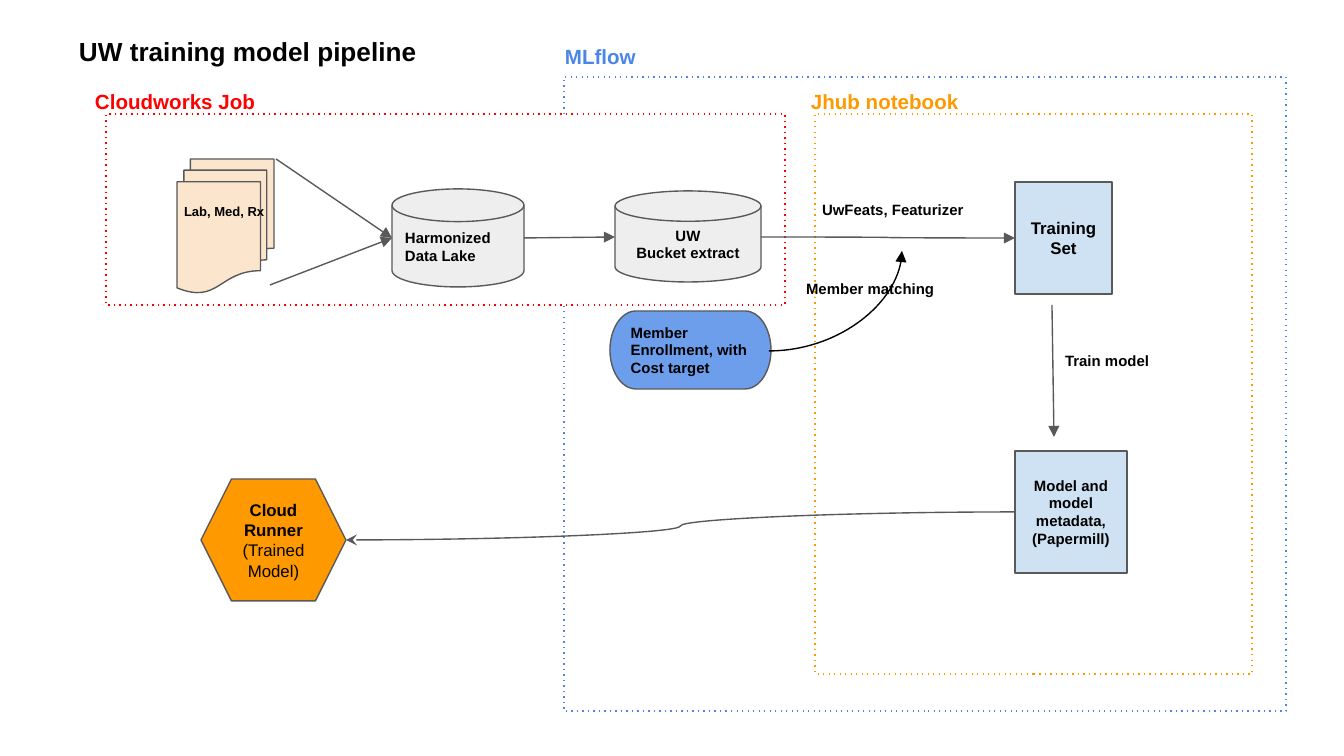
"""Build the training model pipeline slide."""
from dataclasses import dataclass

from lxml import etree
from pptx import Presentation
from pptx.dml.color import RGBColor
from pptx.enum.dml import MSO_LINE
from pptx.enum.shapes import MSO_CONNECTOR, MSO_SHAPE
from pptx.enum.text import MSO_ANCHOR, PP_ALIGN
from pptx.oxml.ns import qn
from pptx.util import Pt

RECT = MSO_SHAPE.RECTANGLE
DISK = MSO_SHAPE.FLOWCHART_MAGNETIC_DISK
DOCUMENTS = MSO_SHAPE.FLOWCHART_MULTIDOCUMENT
TERMINATOR = MSO_SHAPE.FLOWCHART_TERMINATOR
HEXAGON = MSO_SHAPE.HEXAGON
STRAIGHT, CURVE = MSO_CONNECTOR.STRAIGHT, MSO_CONNECTOR.CURVE
ROUND_DOT = MSO_LINE.ROUND_DOT
LEFT, CENTER = PP_ALIGN.LEFT, PP_ALIGN.CENTER
TOP, MIDDLE = MSO_ANCHOR.TOP, MSO_ANCHOR.MIDDLE
EMU_PER_PX = 914400 / 134.4


@dataclass(frozen=True)
class Theme:
    """Colours, type sizes and line width of the slide."""
    font: str = "Arial"
    text: str = "000000"
    white: str = "FFFFFF"
    line: str = "595959"
    tracking: str = "4A86E8"
    job: str = "FF0000"
    notebook: str = "FF9900"
    paper: str = "FCE5CD"
    storage: str = "EEEEEE"
    member: str = "6D9EEB"
    model: str = "CFE2F3"
    title_size: int = 14
    frame_size: int = 11
    large_size: int = 9
    body_size: int = 8
    small_size: int = 7
    line_width: float = 0.75


THEME = Theme()


def px(*values):
    """Turn pixel lengths into EMU."""
    return [round(v * EMU_PER_PX) for v in values]


def rgb(color):
    """Return the RGB colour of a hex string."""
    return RGBColor.from_string(color)


def style_line(line, color):
    """Give a line its colour and the common width."""
    line.color.rgb = rgb(color)
    line.width = Pt(THEME.line_width)


def write(sp, text, size, color=THEME.text, align=LEFT, anchor=TOP, bold_lines=9):
    """Put text in a shape, with its first bold_lines paragraphs in bold."""
    tf = sp.text_frame
    tf.text = text
    tf.word_wrap = True
    tf.vertical_anchor = anchor
    inset, = px(13)
    tf.margin_left = tf.margin_right = tf.margin_top = tf.margin_bottom = inset
    for i, p in enumerate(tf.paragraphs):
        p.alignment = align
        for r in p.runs:
            r.font.name = THEME.font
            r.font.size = Pt(size)
            r.font.bold = i < bold_lines
            r.font.color.rgb = rgb(color)


def add_label(s, box, text, size=THEME.body_size, color=THEME.text):
    """Add a free text label."""
    write(s.shapes.add_textbox(*px(*box)), text, size, color)


def add_node(s, kind, box, fill, line=THEME.line):
    """Add a filled and outlined preset shape."""
    sp = s.shapes.add_shape(kind, *px(*box))
    sp.shadow.inherit = False
    sp.fill.solid()
    sp.fill.fore_color.rgb = rgb(fill)
    style_line(sp.line, line)
    return sp


def add_step(s, kind, box, fill, text, size=THEME.body_size, align=CENTER, bold_lines=9):
    """Add a pipeline step with its text in the middle."""
    sp = add_node(s, kind, box, fill)
    write(sp, text, size, align=align, anchor=MIDDLE, bold_lines=bold_lines)


def add_frame(s, box, color):
    """Add a dotted frame."""
    sp = add_node(s, RECT, box, THEME.white, color)
    sp.line.dash_style = ROUND_DOT
    sp.element.spPr.find(qn("a:ln")).find(qn("a:prstDash")).set("val", "dot")


def add_arrow(s, start, end, kind=STRAIGHT, color=THEME.line,
              tip="tailEnd", head="triangle", preset=None):
    """Add a connector with one arrowhead."""
    c = s.shapes.add_connector(kind, *px(*start, *end))
    style_line(c.line, color)
    props = c.element.spPr
    if preset:
        props.find(qn("a:prstGeom")).set("prst", preset)
    etree.SubElement(props.find(qn("a:ln")), qn(f"a:{tip}"), type=head)
    etree.SubElement(props, qn("a:effectLst"))


def add_frames(s):
    """Add the three environments and their names."""
    frames = [
        ("MLflow", (564, 77, 722, 634), (552, 32), THEME.tracking),
        ("Cloudworks Job", (106, 114, 679, 191), (82, 77), THEME.job),
        ("Jhub notebook", (815, 114, 437, 560), (798, 77), THEME.notebook),
    ]
    for _, box, _, color in frames:
        add_frame(s, box, color)
    for name, _, corner, color in frames:
        add_label(s, (*corner, 218, 52), name, THEME.frame_size, color)


def add_steps(s):
    """Add the pipeline steps."""
    add_node(s, DOCUMENTS, (177, 159, 97, 134), THEME.paper)
    add_step(s, DISK, (392, 189, 132, 98), THEME.storage, "Harmonized Data Lake", align=LEFT)
    add_step(s, DISK, (615, 191, 146, 91), THEME.storage, "UW\nBucket extract")
    add_step(s, TERMINATOR, (610, 311, 161, 78), THEME.member,
             "Member Enrollment, with Cost target", align=LEFT)
    add_step(s, RECT, (1015, 182, 97, 112), THEME.model, "Training Set", THEME.large_size)
    add_step(s, RECT, (1015, 451, 112, 122), THEME.model,
             "Model and model metadata, (Papermill)")
    add_step(s, HEXAGON, (201, 479, 145, 122), THEME.notebook,
             "Cloud Runner\n(Trained Model)", THEME.large_size, bold_lines=1)


def add_arrows(s):
    """Add the flow between the steps."""
    lake, training = (392, 238), (1015, 238)
    for start, end in [((276, 159), lake), ((270, 285), lake),
                       ((524, 238), (615, 237)), ((1052, 305), (1054, 437))]:
        add_arrow(s, start, end)
    add_arrow(s, (761, 237), training, CURVE)
    add_arrow(s, (769, 351), (902, 251), CURVE, THEME.text, preset="curvedConnector2")
    add_arrow(s, (346, 540), (1015, 512), CURVE, tip="headEnd", head="stealth")


def add_labels(s):
    """Add the title and the notes on the flow."""
    add_label(s, (66, 22, 458, 59), "UW training model pipeline", THEME.title_size)
    add_label(s, (171, 196, 110, 50), "Lab, Med, Rx", THEME.small_size)
    for corner, text in [((809, 192), "UwFeats, Featurizer"),
                         ((793, 271), "Member matching"),
                         ((1052, 343), "Train model")]:
        add_label(s, (*corner, 184, 59), text)


def main():
    """Build and save the slide."""
    prs = Presentation()
    prs.slide_width, prs.slide_height = px(1344, 756)
    s = prs.slides.add_slide(prs.slide_layouts[6])
    add_frames(s)
    add_steps(s)
    add_arrows(s)
    add_labels(s)
    prs.save("out.pptx")


if __name__ == "__main__":
    main()
